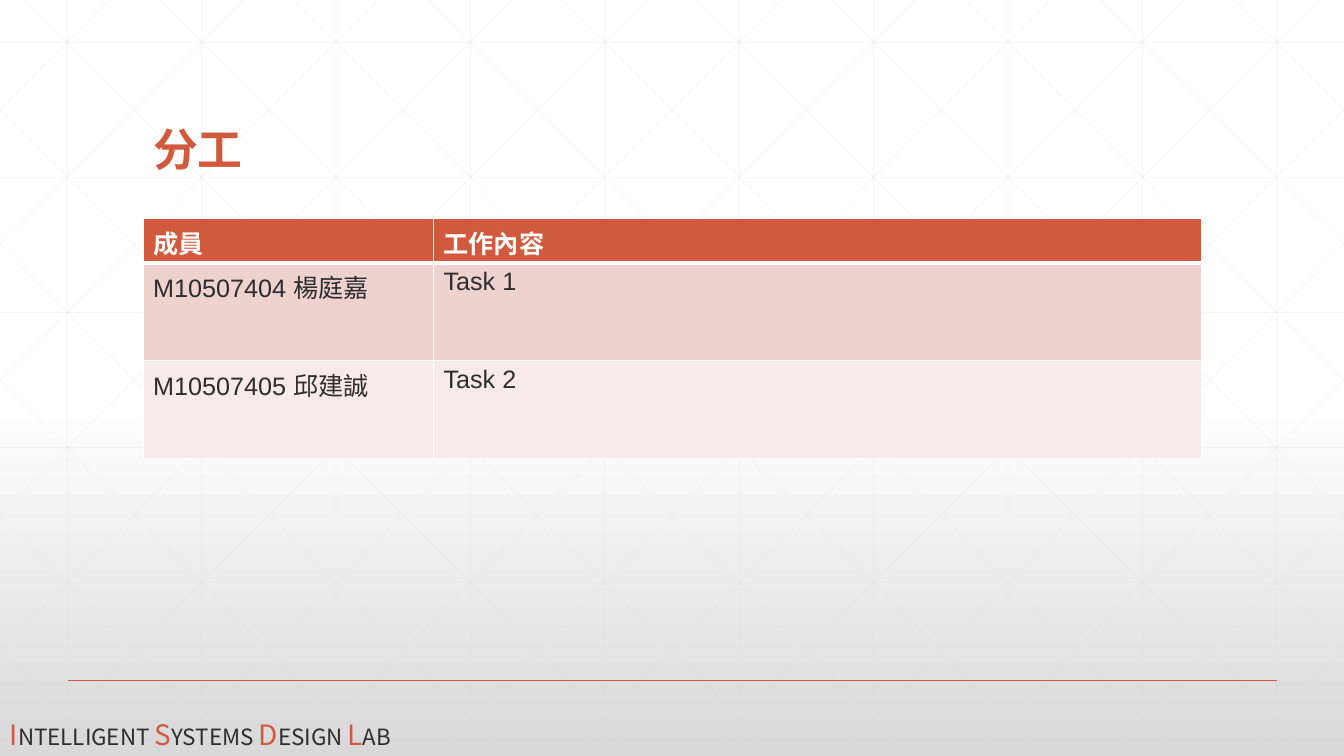
from copy import deepcopy

from lxml.etree import SubElement
from pptx import Presentation
from pptx.dml.color import RGBColor
from pptx.enum.shapes import MSO_CONNECTOR as Connector
from pptx.enum.text import MSO_ANCHOR as Anchor, MSO_AUTO_SIZE as AutoSize
from pptx.oxml.ns import qn
from pptx.util import Inches, Pt

WIDTH, HEIGHT = 13.333, 7.5
STEP = 4 / 3

WHITE = RGBColor(0xFF, 0xFF, 0xFF)
GREY = RGBColor(0xD9, 0xD9, 0xD9)
INK = RGBColor(0x2D, 0x2E, 0x2D)
RUST = RGBColor(0xD1, 0x5A, 0x3E)
ROSE = RGBColor(0xEE, 0xD2, 0xCE)
BLUSH = RGBColor(0xF7, 0xEA, 0xE8)


class SlideBuilder:
    body_font = "Arial"
    footer_font = "Noto Sans CJK SC"

    def __init__(self, deck):
        self.page = deck.slides.add_slide(deck.slide_layouts[6])

    def background(self, stops):
        fill = self.page.background.fill
        fill.gradient()
        fill.gradient_angle = 270
        stop_list = self.page.element.find(".//" + qn("a:gsLst"))
        while len(stop_list) < len(stops):
            stop_list.append(deepcopy(stop_list[0]))
        for stop, (position, color) in zip(fill.gradient_stops, stops):
            stop.position = position
            stop.color.rgb = color

    def line(self, start, end, color, width, opacity=None, group=None):
        shapes = (group or self.page).shapes
        points = [Inches(value) for value in (*start, *end)]
        connector = shapes.add_connector(Connector.STRAIGHT, *points)
        connector.line.color.rgb = color
        connector.line.width = Pt(width)
        properties = connector._element.spPr
        if opacity is not None:
            paint = properties.find(".//" + qn("a:srgbClr"))
            SubElement(paint, qn("a:alpha"), val=str(opacity * 1000))
        SubElement(properties, qn("a:effectLst"))

    def style(self, span, size, color, font=None, bold=False):
        span.font.name = font or self.body_font
        span.font.size = Pt(size)
        span.font.color.rgb = color
        span.font.bold = bold

    def text_box(self, left, top, width, height):
        box = self.page.shapes.add_textbox(
            Inches(left), Inches(top), Inches(width), Inches(height))
        box.text_frame.word_wrap = True
        return box.text_frame

    def title(self, text, *place):
        frame = self.text_box(*place)
        frame.vertical_anchor = Anchor.BOTTOM
        frame.text = text
        para = frame.paragraphs[0]
        para.line_spacing = 0.9
        self.style(para.runs[0], 32, RUST, bold=True)

    def small_caps(self, text, *place):
        frame = self.text_box(*place)
        frame.auto_size = AutoSize.SHAPE_TO_FIT_TEXT
        words = text.split()
        for number, word in enumerate(words, 1):
            gap = " " if number < len(words) else ""
            for part, size, color in ((word[0], 20, RUST), (word[1:] + gap, 16, INK)):
                span = frame.paragraphs[0].add_run()
                span.text = part
                self.style(span, size, color, self.footer_font)

    def borders(self, cell, **widths):
        properties = cell._tc.get_or_add_tcPr()
        for index, (side, width) in enumerate(widths.items()):
            edge = SubElement(properties, qn("a:ln" + side), w=str(Pt(width)))
            paint = SubElement(edge, qn("a:solidFill"))
            SubElement(paint, qn("a:srgbClr"), val=str(WHITE))
            properties.insert(index, edge)

    def table(self, left, top, columns, heights, fills, rows):
        table = self.page.shapes.add_table(
            len(rows), len(columns), Inches(left), Inches(top),
            Inches(sum(columns)), Inches(sum(heights))).table
        for column, width in zip(table.columns, columns):
            column.width = Inches(width)
        for index, (row, height) in enumerate(zip(table.rows, heights)):
            row.height = Inches(height)
            header = index == 0
            for cell, text in zip(row.cells, rows[index]):
                cell.text = text
                cell.fill.solid()
                cell.fill.fore_color.rgb = fills[index]
                self.style(cell.text_frame.paragraphs[0].runs[0], 18,
                           WHITE if header else INK, bold=header)
                self.borders(cell, L=1, R=1, T=3 if index == 1 else 1,
                             B=3 if header else 1)

    def lattice(self):
        group = self.page.shapes.add_group_shape()
        segments = []
        for column in range(10):
            x = STEP * (column + 0.5)
            segments.append(((x, 0), (x, HEIGHT)))
        for row in range(6):
            y = 0.42 + 1.34 * row
            segments.append(((0, y), (WIDTH, y)))
        # Diagonals are cut at the slide's edges, then mirrored
        slope = HEIGHT / 7.46
        for index in range(-5, 10):
            origin = 0.25 + STEP * index
            x1 = max(origin, 0)
            x2 = min(origin + 7.46, WIDTH)
            y1, y2 = (x1 - origin) * slope, (x2 - origin) * slope
            segments.append(((x1, y1), (x2, y2)))
            segments.append(((WIDTH - x1, y1), (WIDTH - x2, y2)))
        for start, end in segments:
            self.line(start, end, GREY, 0.5, opacity=25, group=group)


def main():
    deck = Presentation()
    deck.slide_width, deck.slide_height = Inches(WIDTH), Inches(HEIGHT)
    slide = SlideBuilder(deck)

    # Backdrop
    slide.background([(0, WHITE), (0.53, WHITE), (1, GREY)])
    slide.lattice()

    # Footer
    slide.line((0.67, 6.75), (12.67, 6.75), RUST, 1)
    slide.small_caps("INTELLIGENT SYSTEMS DESIGN LAB", 0, 7.07, 5.25, 0.44)

    # Title and division of work
    slide.title("分工", 1.42, 0.55, 10.5, 1.25)
    slide.table(1.42, 2.17, [2.88, 7.62], [0.44, 0.97, 0.97], [RUST, ROSE, BLUSH], [
        ("成員", "工作內容"),
        ("M10507404 楊庭嘉", "Task 1"),
        ("M10507405 邱建誠", "Task 2"),
    ])

    deck.save("out.pptx")


if __name__ == "__main__":
    main()
